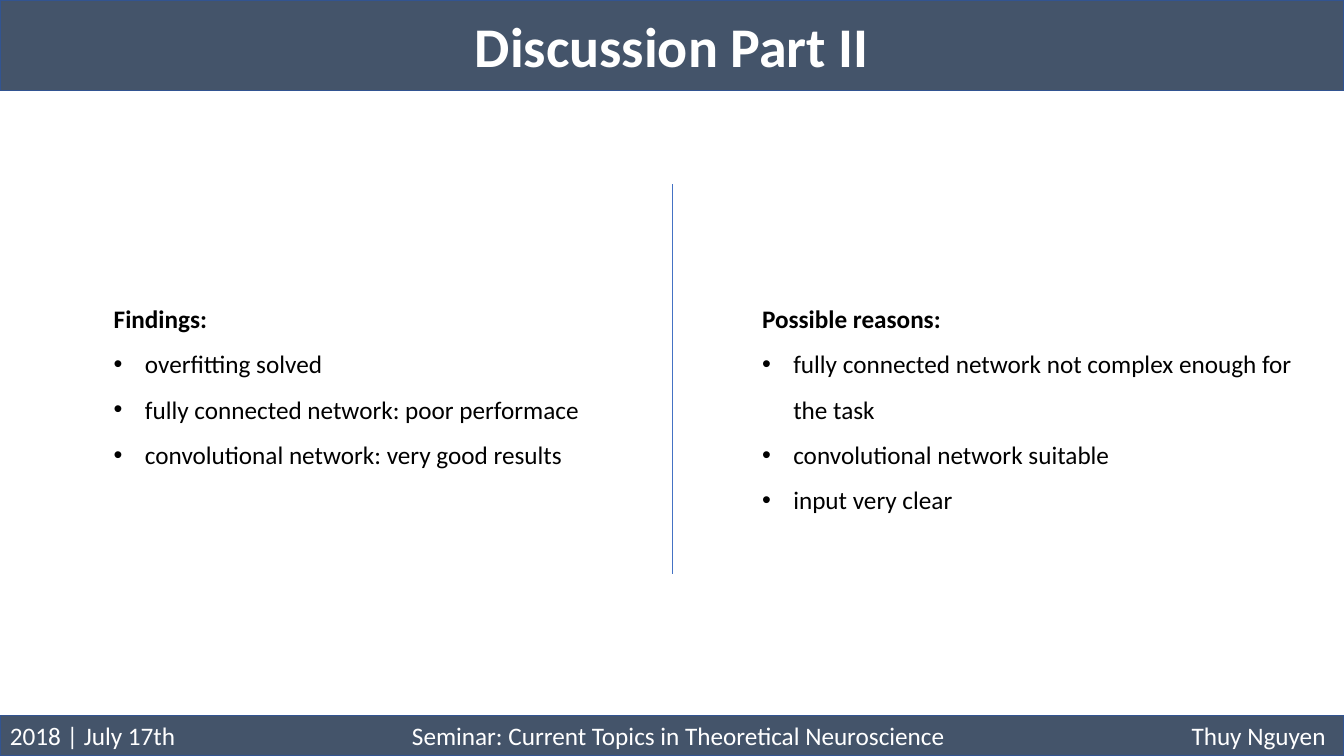
from lxml.etree import SubElement
from pptx import Presentation
from pptx.dml.color import RGBColor
from pptx.enum.shapes import MSO_CONNECTOR as Connector, MSO_SHAPE as Shape
from pptx.enum.text import MSO_ANCHOR as Anchor, MSO_AUTO_SIZE as AutoSize, PP_ALIGN as Align
from pptx.oxml.ns import qn
from pptx.util import Inches, Pt

COLORS = {
    "bar": "44546A",
    "bar_edge": "325491",
    "divider": "4472C4",
    "text": "000000",
    "bar_text": "FFFFFF",
}
WIDTH, HEIGHT = 13.33, 7.5
TITLE_HEIGHT, FOOTER_HEIGHT = 0.9, 0.4
FOOTER_TOP = HEIGHT - FOOTER_HEIGHT
COLUMNS = [
    (1.03, 5.03, 1.87, "Findings:", [
        "overfitting solved",
        "fully connected network: poor performace",
        "convolutional network: very good results",
    ]),
    (7.46, 5.59, 2.33, "Possible reasons:", [
        "fully connected network not complex enough for the task",
        "convolutional network suitable",
        "input very clear",
    ]),
]


class SlideBuilder:
    font_name = "Calibri"
    body_size = 18
    title_size = 40
    bullet_indent = 0.31

    def __init__(self, slide):
        self.slide = slide

    def color(self, name):
        return RGBColor.from_string(COLORS[name])

    def style(self, paragraph, size, color, bold=False):
        font = paragraph.font
        font.name, font.size, font.bold = self.font_name, Pt(size), bold
        font.color.rgb = self.color(color)

    def bar(self, top, height):
        bar = self.slide.shapes.add_shape(
            Shape.RECTANGLE, 0, Inches(top), Inches(WIDTH), Inches(height))
        bar.shadow.inherit = False
        bar.fill.solid()
        bar.fill.fore_color.rgb = self.color("bar")
        bar.line.color.rgb = self.color("bar_edge")
        bar.line.width = Pt(1)
        return bar

    def title(self, text):
        frame = self.bar(0, TITLE_HEIGHT).text_frame
        frame.vertical_anchor = Anchor.MIDDLE
        heading = frame.paragraphs[0]
        heading.text = text
        heading.alignment = Align.CENTER
        self.style(heading, self.title_size, "bar_text", bold=True)

    def text_frame(self, left, top, width, height):
        frame = self.slide.shapes.add_textbox(
            Inches(left), Inches(top), Inches(width), Inches(height)).text_frame
        frame.word_wrap = True
        frame.auto_size = AutoSize.SHAPE_TO_FIT_TEXT
        return frame

    def footer(self, date, seminar, speaker):
        self.bar(FOOTER_TOP, FOOTER_HEIGHT)
        line = self.text_frame(0, FOOTER_TOP, WIDTH, FOOTER_HEIGHT).paragraphs[0]
        line.text = "\t".join([date, seminar, speaker])
        tabs = SubElement(line._p.get_or_add_pPr(), qn("a:tabLst"))
        for position, alignment in [(6.63, "ctr"), (13.05, "r")]:
            SubElement(tabs, qn("a:tab"), pos=str(Inches(position)), algn=alignment)
        self.style(line, self.body_size, "bar_text")

    def bullet(self, paragraph):
        properties = paragraph._p.get_or_add_pPr()
        indent = Inches(self.bullet_indent)
        properties.set("marL", str(indent))
        properties.set("indent", str(-indent))
        SubElement(properties, qn("a:buFont"), typeface="Arial")
        SubElement(properties, qn("a:buChar"), char="•")

    def column(self, left, width, height, heading, points):
        frame = self.text_frame(left, 2.81, width, height)
        for index, text in enumerate([heading, *points]):
            paragraph = frame.add_paragraph() if index else frame.paragraphs[0]
            paragraph.text = text
            if index:
                self.bullet(paragraph)
            paragraph.line_spacing = 1.5
            self.style(paragraph, self.body_size, "text", bold=index == 0)

    def divider(self, x, top, bottom):
        divider = self.slide.shapes.add_connector(
            Connector.STRAIGHT, Inches(x), Inches(top), Inches(x), Inches(bottom))
        divider.line.color.rgb = self.color("divider")
        divider.line.width = Pt(0.5)
        SubElement(divider._element.spPr, qn("a:effectLst"))


def main():
    deck = Presentation()
    deck.slide_width, deck.slide_height = Inches(WIDTH), Inches(HEIGHT)
    builder = SlideBuilder(deck.slides.add_slide(deck.slide_layouts[6]))
    builder.footer("2018 | July 17th",
                   "Seminar: Current Topics in Theoretical Neuroscience",
                   "Thuy Nguyen")
    builder.title("Discussion Part II")
    for column in COLUMNS:
        builder.column(*column)
    builder.divider(6.67, 1.83, 5.69)
    deck.save("out.pptx")


if __name__ == "__main__":
    main()
